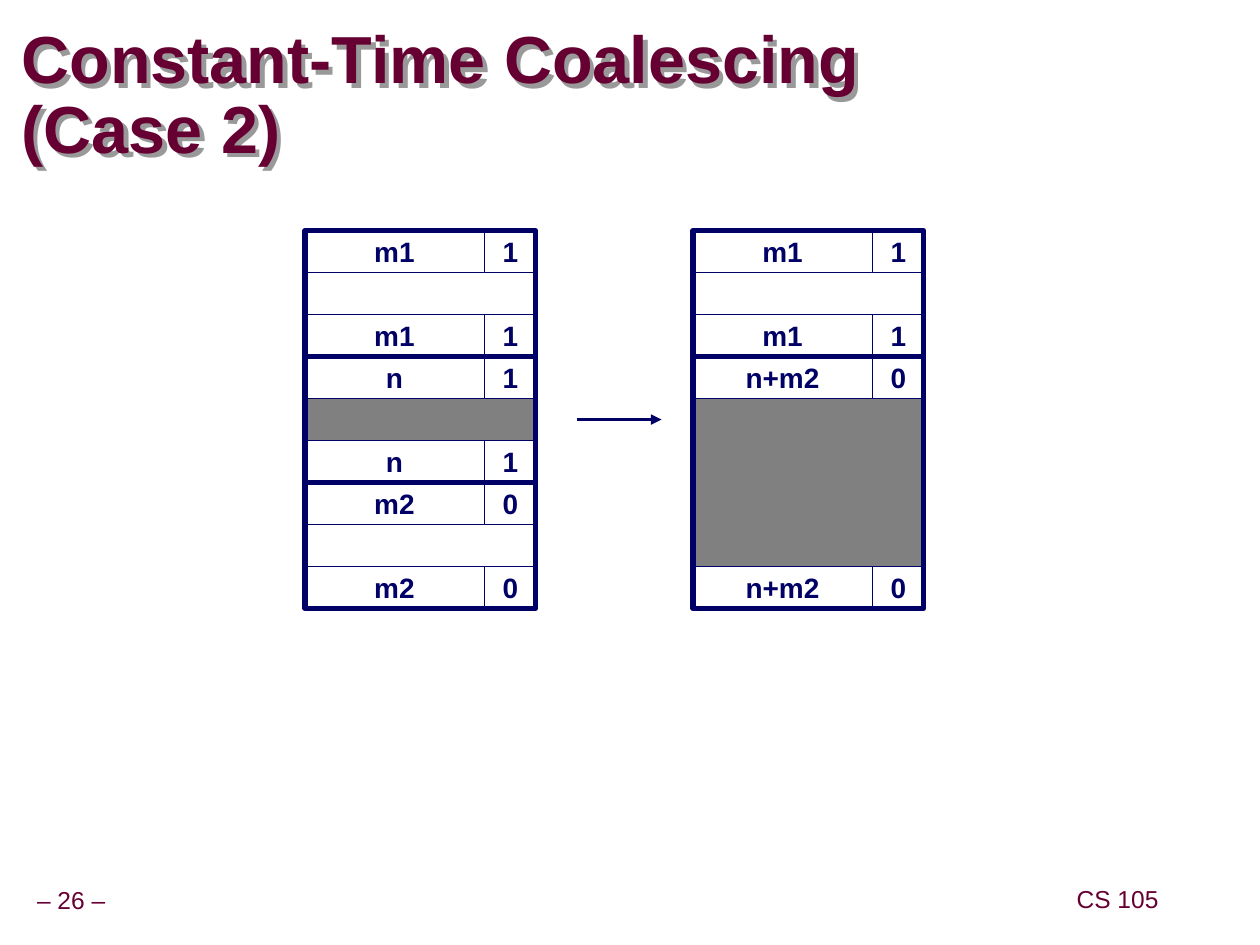
from lxml import etree
from pptx import Presentation
from pptx.dml.color import RGBColor
from pptx.enum.shapes import MSO_CONNECTOR, MSO_SHAPE
from pptx.enum.text import MSO_ANCHOR, PP_ALIGN
from pptx.oxml import parse_xml
from pptx.oxml.ns import nsdecls, qn
from pptx.util import Inches, Pt

RECTANGLE = MSO_SHAPE.RECTANGLE
STRAIGHT = MSO_CONNECTOR.STRAIGHT
MIDDLE = MSO_ANCHOR.MIDDLE
CENTER, LEFT = PP_ALIGN.CENTER, PP_ALIGN.LEFT

MAROON = RGBColor(0x66, 0x00, 0x33)
NAVY = RGBColor(0x00, 0x00, 0x66)
GRAY = RGBColor(0x80, 0x80, 0x80)
SHADOW = RGBColor(0x99, 0x99, 0x99)
WHITE = RGBColor(0xFF, 0xFF, 0xFF)

ROW = 1 / 3
TOP = 1.83
SIZE_WIDTH, FLAG_WIDTH = 1.42, 0.42
BLOCK_WIDTH = 1.83

deck = Presentation()
deck.slide_width, deck.slide_height = Inches(10), Inches(7.5)
page = deck.slides.add_slide(deck.slide_layouts[6])


def write(box, text, size, color, bold, align=CENTER, spacing=1.0, margin=0.05):
    frame = box.text_frame
    frame.word_wrap = align == LEFT
    frame.vertical_anchor = MIDDLE
    frame.margin_left = frame.margin_right = Inches(margin)
    frame.margin_top = frame.margin_bottom = Inches(margin)
    para = frame.paragraphs[0]
    para.text = text
    para.alignment = align
    para.line_spacing = spacing
    para.font.name, para.font.size = "Arial", Pt(size)
    para.font.bold = bold
    para.font.color.rgb = color


def add_cell(left, top, width, height, fill, line_width=0.25, text=""):
    cell = page.shapes.add_shape(
        RECTANGLE, Inches(left), Inches(top), Inches(width), Inches(height))
    cell.shadow.inherit = False
    if fill is None:
        cell.fill.background()
    else:
        cell.fill.solid()
        cell.fill.fore_color.rgb = fill
    cell.line.color.rgb = NAVY
    cell.line.width = Pt(line_width)
    if text:
        write(cell, text, 16, NAVY, True)


# Title; the box has no fill, so its shadow falls from the letters
title = page.shapes.add_textbox(Inches(0.17), Inches(0.46), Inches(9.08), Inches(0.63))
write(title, "Constant-Time Coalescing\v(Case 2)", 38, MAROON, True, LEFT, 0.87, 0)
title._element.spPr.append(parse_xml(
    f'<a:effectLst {nsdecls("a")}>'
    f'<a:outerShdw dist="{Inches(0.05)}" dir="2700000" algn="ctr" rotWithShape="0">'
    f'<a:srgbClr val="{SHADOW}"/></a:outerShdw></a:effectLst>'))

# Page number and course name
for left, top, width, text in [(-0.09, 7, 1.31, "– 26 –"), (8.37, 6.99, 1, "CS 105")]:
    footer = page.shapes.add_textbox(Inches(left), Inches(top), Inches(width), Inches(0.31))
    write(footer, text, 14, MAROON, False, spacing=0.9)

# Memory blocks before and after: size, allocated flag, number of rows, body fill
before = [("m1", "1", 3, WHITE), ("n", "1", 3, GRAY), ("m2", "0", 3, WHITE)]
after = [("m1", "1", 3, WHITE), ("n+m2", "0", 6, GRAY)]
for left, blocks in [(2.42, before), (5.5, after)]:
    top = TOP
    for size, flag, rows, body in blocks:
        height = rows * ROW
        add_cell(left, top + ROW, BLOCK_WIDTH, height - 2 * ROW, body)
        # Header and footer words of the block
        for tag_top in (top, top + height - ROW):
            add_cell(left, tag_top, SIZE_WIDTH, ROW, WHITE, text=size)
            add_cell(left + SIZE_WIDTH, tag_top, FLAG_WIDTH, ROW, WHITE, text=flag)
        add_cell(left, top, BLOCK_WIDTH, height, None, line_width=3)
        top += height

# Arrow from before to after
arrow = page.shapes.add_connector(
    STRAIGHT, Inches(4.58), Inches(3.33), Inches(5.25), Inches(3.33))
arrow.line.color.rgb = NAVY
arrow.line.width = Pt(2)
etree.SubElement(arrow.line._get_or_add_ln(), qn("a:tailEnd"), type="triangle")
etree.SubElement(arrow._element.spPr, qn("a:effectLst"))

deck.save("out.pptx")
